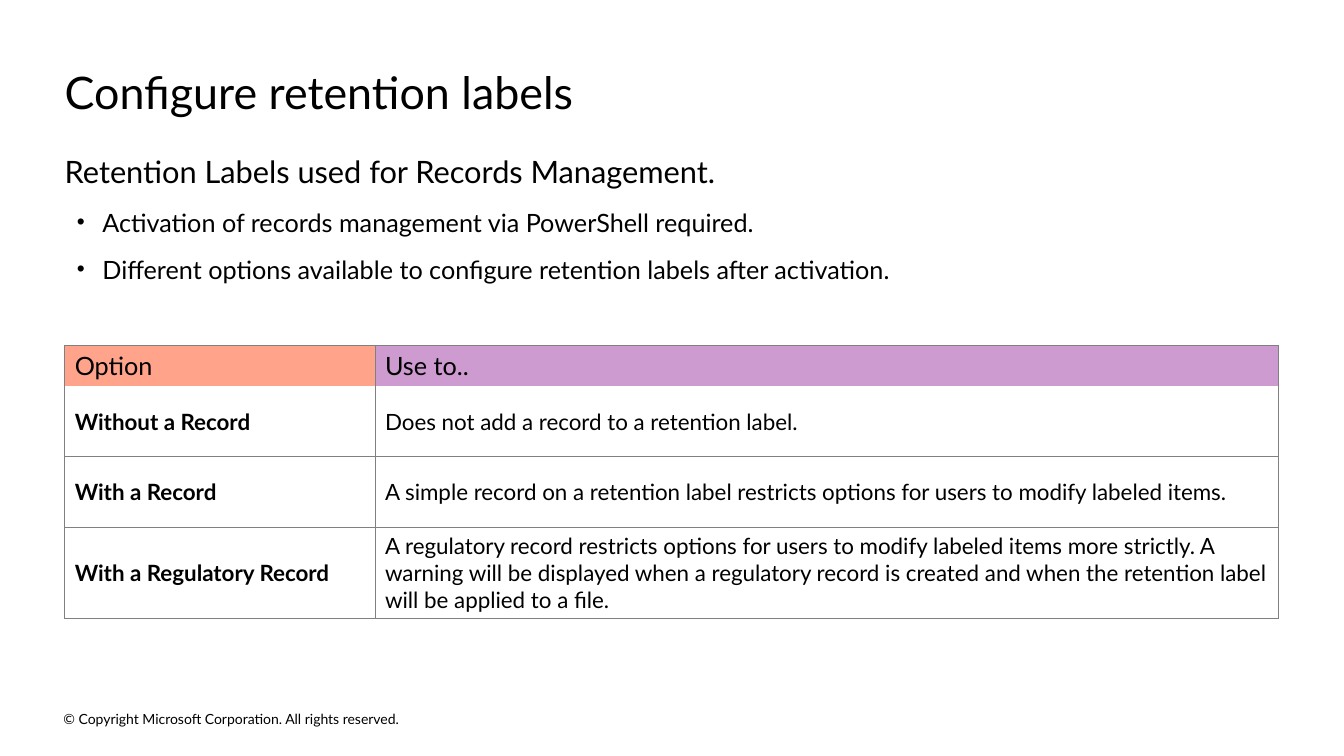
from pptx import Presentation
from pptx.dml.color import RGBColor as Rgb
from pptx.enum.text import MSO_ANCHOR as Anchor, MSO_AUTO_SIZE as Auto, PP_ALIGN as Align
from pptx.oxml import parse_xml as xml
from pptx.oxml.ns import nsdecls
from pptx.util import Cm, Pt

HUES = {"text": "000000", "line": "808080", "option": "FFA38B", "use": "CD9BCF"}
LEFT, WIDE = 1.63, 30.58
BARE = {"word_wrap": True, "auto_size": Auto.NONE, "margin_left": 0,
        "margin_right": 0, "margin_top": 0, "margin_bottom": 0}
NS = nsdecls("a")


def write(par, text, size, bold=False):
    run = par.add_run()
    run.text = text
    looks = {"name": "Lato", "size": Pt(size), "bold": bold}
    for key, value in looks.items():
        setattr(run.font, key, value)
    run.font.color.rgb = Rgb.from_string(HUES["text"])
    par.alignment = Align.LEFT


def place(shape, left, top, width, height, anchor):
    box = {"left": left, "top": top, "width": width, "height": height}
    for key, value in box.items():
        setattr(shape, key, Cm(value))
    for key, value in {**BARE, "vertical_anchor": anchor}.items():
        setattr(shape.text_frame, key, value)
    return shape.text_frame


deck = Presentation()
deck.slide_width, deck.slide_height = Cm(33.87), Cm(19.05)
slide = deck.slides.add_slide(deck.slide_layouts[1])

# Copyright line
foot = slide.shapes.add_textbox(0, 0, 0, 0)
frame = place(foot, 1.6, 17.83, 11.53, 0.56, Anchor.MIDDLE)
write(frame.paragraphs[0],
      "© Copyright Microsoft Corporation. All rights reserved.", 10)

# Title
frame = place(slide.shapes.title, LEFT, 1.63, WIDE, 1.37, Anchor.TOP)
write(frame.paragraphs[0], "Configure retention labels", 32)

# Lead line and bullets
points = [
    (0, "Retention Labels used for Records Management."),
    (1, "Activation of records management via PowerShell required."),
    (1, "Different options available to configure retention labels after activation."),
]
frame = place(slide.placeholders[1], LEFT, 3.86, WIDE, 3.33, Anchor.TOP)
for i, (level, text) in enumerate(points):
    par = frame.add_paragraph() if i else frame.paragraphs[0]
    props = par._p.get_or_add_pPr()
    props.set("marL", str(Cm(0.95 * level)))
    props.set("indent", str(Cm(-0.64 * level)))
    if level:
        props.append(xml(f'<a:buSzPct {NS} val="90000"/>'))
        props.append(xml(f'<a:buChar {NS} char="•"/>'))
    else:
        props.append(xml(f'<a:buNone {NS}/>'))
    gaps = {"level": level, "line_spacing": 1.0,
            "space_before": Pt(0), "space_after": Pt(12)}
    for key, value in gaps.items():
        setattr(par, key, value)
    write(par, text, 18 if level else 22)

# Table of options
rows = [
    ("Option", "Use to.."),
    ("Without a Record", "Does not add a record to a retention label."),
    ("With a Record", "A simple record on a retention label restricts options "
     "for users to modify labeled items."),
    ("With a Regulatory Record", "A regulatory record restricts options for users to "
     "modify labeled items more strictly. A warning will be displayed when a "
     "regulatory record is created and when the retention label will be applied to a file."),
]
widths, heights = [7.82, 22.76], [1.02, 1.78, 1.78, 2.29]
table = slide.shapes.add_table(len(rows), len(widths), Cm(LEFT), Cm(8.71),
                               Cm(WIDE), Cm(sum(heights))).table
table.first_row = table.horz_banding = False
for col, width in zip(table.columns, widths):
    col.width = Cm(width)
for row, height in zip(table.rows, heights):
    row.height = Cm(height)

for r, texts in enumerate(rows):
    for c, text in enumerate(texts):
        cell = table.cell(r, c)
        cell.vertical_anchor = Anchor.MIDDLE
        write(cell.text_frame.paragraphs[0], text,
              16 if r else 18, bold=r > 0 and c == 0)
        # Borders, with none between the header and the first row
        props = cell._tc.get_or_add_tcPr()
        for side in "LRTB":
            bare = (r, side) in [(0, "B"), (1, "T")]
            paint = "<a:noFill/>" if bare else (
                f'<a:solidFill><a:srgbClr val="{HUES["line"]}"/></a:solidFill>')
            props.append(xml(f'<a:ln{side} {NS} w="{Pt(0.5)}">{paint}</a:ln{side}>'))
        if r:
            cell.fill.background()
        else:
            cell.fill.solid()
            cell.fill.fore_color.rgb = Rgb.from_string(HUES[("option", "use")[c]])

deck.save("out.pptx")
